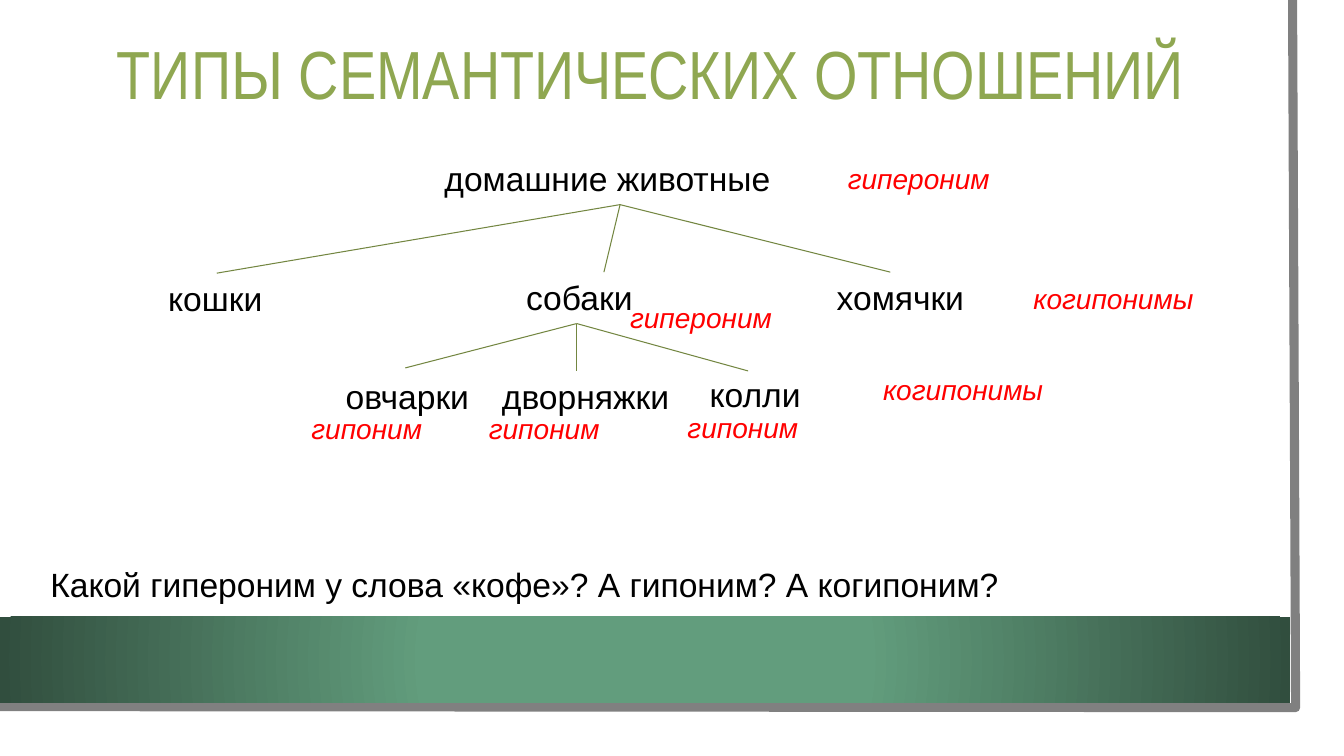
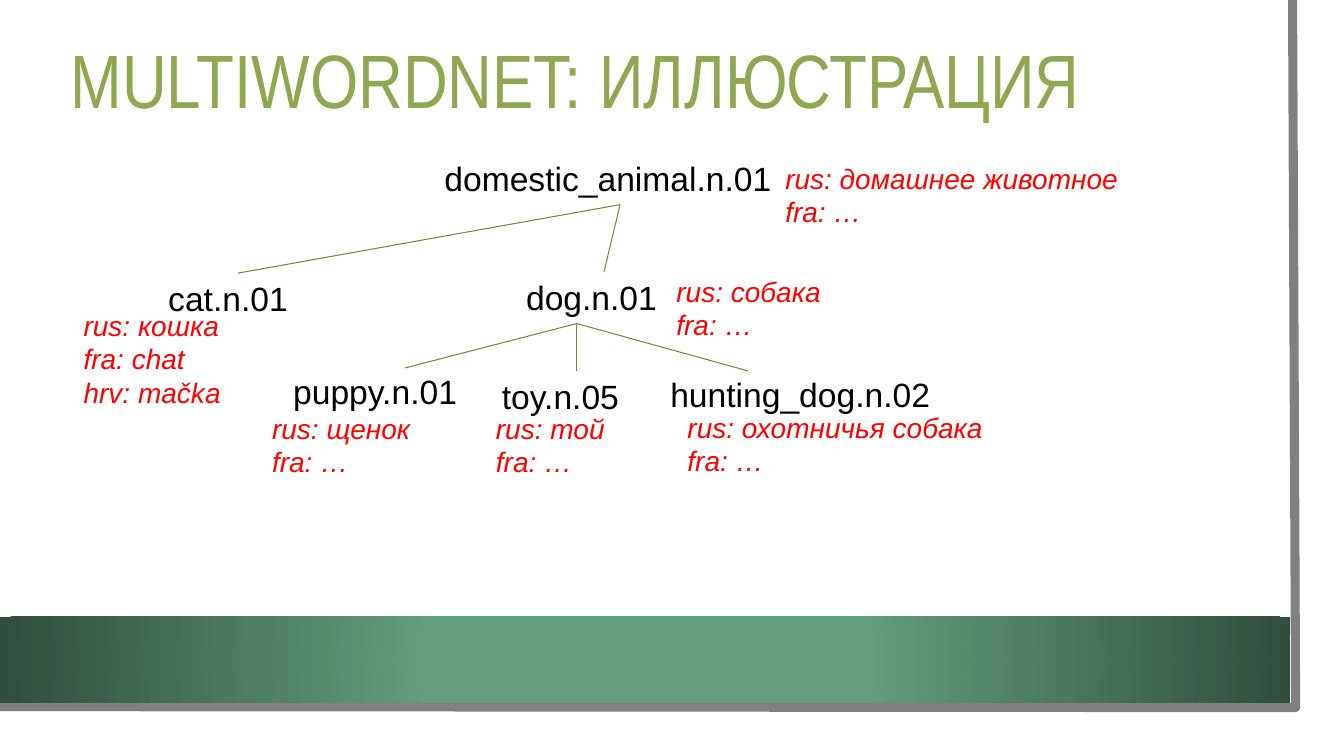
import pptx
import pptx.util
import pptx.dml.color
import pptx.enum.shapes
import pptx.enum.text
import pptx.oxml
import pptx.oxml.ns

Inches = pptx.util.Inches
Pt = pptx.util.Pt
RGBColor = pptx.dml.color.RGBColor

TITLE_GREEN = RGBColor(0x8F, 0xA7, 0x51)
BRANCH_GREEN = RGBColor(0x73, 0x86, 0x41)
BAND_CENTER = RGBColor(0x62, 0x9D, 0x7D)
BAND_EDGE = RGBColor(0x31, 0x4E, 0x3E)
FRAME_GRAY = RGBColor(0x80, 0x80, 0x80)
BLACK = RGBColor(0x00, 0x00, 0x00)
RED = RGBColor(0xFF, 0x00, 0x00)

# Branch starting points shared by both trees
ROOT = (6.15, 2.03)
DOGS = (5.72, 3.21)
SHARED_BRANCHES = [
    (ROOT, (5.99, 2.7)),
    (DOGS, (4.02, 3.65)),
    (DOGS, (5.72, 3.68)),
    (DOGS, (7.42, 3.68)),
]

# Words and notes: left, top, width, lines of text
SLIDES = [
    {
        "title": "ТИПЫ СЕМАНТИЧЕСКИХ ОТНОШЕНИЙ",
        "title_top": 0.14,
        "title_size": 48.6,
        "title_indent": 0.46,
        "words": [
            (4.31, 1.52, 3.68, ["домашние животные"]),
            (1.57, 2.71, 1.17, ["кошки"]),
            (5.12, 2.7, 3.37, ["собаки"]),
            (8.2, 2.7, 3.37, ["хомячки"]),
            (3.33, 3.68, 3.1, ["овчарки"]),
            (4.88, 3.68, 3.1, ["дворняжки"]),
            (6.94, 3.66, 1.34, ["колли"]),
            (0.4, 5.55, 10.51,
             ["Какой гипероним у слова «кофе»? А гипоним? А когипоним?"]),
        ],
        "notes": [
            (8.31, 1.55, 2.39, ["гипероним"]),
            (10.15, 2.74, 2.05, ["когипонимы"]),
            (6.15, 2.93, 1.71, ["гипероним"]),
            (2.99, 4.03, 1.52, ["гипоним"]),
            (4.75, 4.03, 1.69, ["гипоним"]),
            (6.72, 4.02, 1.48, ["гипоним"]),
            (8.66, 3.65, 3.1, ["когипонимы"]),
        ],
        "branches": [(ROOT, (2.15, 2.71)), (ROOT, (8.83, 2.7))],
    },
    {
        "title": "MULTIWORDNET: ИЛЛЮСТРАЦИЯ",
        "title_top": 0.2,
        "title_size": 54,
        "title_indent": 0,
        "words": [
            (4.31, 1.52, 3.68, ["domestic_animal.n.01"]),
            (1.57, 2.71, 1.59, ["cat.n.01"]),
            (5.12, 2.7, 3.37, ["dog.n.01"]),
            (2.81, 3.63, 3.1, ["puppy.n.01"]),
            (4.88, 3.68, 3.1, ["toy.n.05"]),
            (6.55, 3.66, 3.02, ["hunting_dog.n.02"]),
        ],
        "notes": [
            (7.69, 1.55, 3.76, ["rus: домашнее животное", "fra: …"]),
            (0.73, 3.01, 2.05, ["rus: кошка", "fra: chat", "hrv: mačka"]),
            (6.61, 2.67, 1.71, ["rus: собака", "fra: …"]),
            (2.6, 4.03, 1.83, ["rus: щенок", "fra: …"]),
            (4.82, 4.03, 1.69, ["rus: той", "fra: …"]),
            (6.72, 4.02, 3.48, ["rus: охотничья собака", "fra: …"]),
        ],
        "branches": [(ROOT, (2.36, 2.71))],
    },
]


def add_text(slide, left, top, width, height, lines, size, color,
             font="Arial", italic=False):
    shape = slide.shapes.add_textbox(
        Inches(left), Inches(top), Inches(width), Inches(height))
    frame = shape.text_frame
    frame.word_wrap = True
    frame.text = "\n".join(lines)
    for paragraph in frame.paragraphs:
        paragraph.font.name = font
        paragraph.font.size = Pt(size)
        paragraph.font.italic = italic
        paragraph.font.color.rgb = color
    return frame


def add_label(slide, left, top, width, lines, size, color, italic=False):
    height = 0.1 + len(lines) * size / 60
    frame = add_text(slide, left, top, width, height, lines, size, color,
                     italic=italic)
    frame.auto_size = pptx.enum.text.MSO_AUTO_SIZE.SHAPE_TO_FIT_TEXT


def add_title(slide, content):
    frame = add_text(slide, 0.6, content["title_top"], 11.37, 1.26,
                     [content["title"]], content["title_size"], TITLE_GREEN,
                     font="Arial Narrow")
    frame.margin_left = Inches(0.1 + content["title_indent"])
    frame.vertical_anchor = pptx.enum.text.MSO_ANCHOR.MIDDLE
    frame.paragraphs[0].line_spacing = 0.9


def add_branch(slide, start, end):
    branch = slide.shapes.add_connector(
        pptx.enum.shapes.MSO_CONNECTOR.STRAIGHT,
        *(Inches(value) for value in start + end))
    branch.line.color.rgb = BRANCH_GREEN
    branch.line.width = Pt(0.75)
    branch._element.spPr.append(pptx.oxml.parse_xml(
        "<a:effectLst %s/>" % pptx.oxml.ns.nsdecls("a")))


def add_background(slide):
    # Gray edge along the right and bottom
    builder = slide.shapes.build_freeform(Inches(12.82), 0)
    corners = [(12.85, 7.02), (-0.03, 7.01)]
    builder.add_line_segments(
        [(Inches(x), Inches(y)) for x, y in corners], close=False)
    edge = builder.convert_to_shape()
    edge.shadow.inherit = False
    edge.fill.background()
    edge.line.color.rgb = FRAME_GRAY
    edge.line.width = Pt(6.5)

    # Green band with a radial gradient
    band = slide.shapes.add_shape(
        pptx.enum.shapes.MSO_SHAPE.RECTANGLE,
        0, Inches(6.12), Inches(12.8), Inches(0.85))
    band.shadow.inherit = False
    band.line.fill.background()
    band.fill.gradient()
    stops = [(0.34, BAND_CENTER), (1, BAND_EDGE)]
    for stop, (position, color) in zip(band.fill.gradient_stops, stops):
        stop.position = position
        stop.color.rgb = color
    gradient = band._element.spPr.find(pptx.oxml.ns.qn("a:gradFill"))
    linear = gradient.find(pptx.oxml.ns.qn("a:lin"))
    gradient.replace(linear, pptx.oxml.parse_xml(
        '<a:path %s path="circle"><a:fillToRect l="50000" t="50000" '
        'r="50000" b="50000"/></a:path>' % pptx.oxml.ns.nsdecls("a")))


def main():
    presentation = pptx.Presentation()
    presentation.slide_width = Inches(13.33)
    presentation.slide_height = Inches(7.5)
    for content in SLIDES:
        slide = presentation.slides.add_slide(presentation.slide_layouts[6])
        add_background(slide)
        add_title(slide, content)
        for word in content["words"]:
            add_label(slide, *word, size=24, color=BLACK)
        for note in content["notes"]:
            add_label(slide, *note, size=20, color=RED, italic=True)
        for start, end in SHARED_BRANCHES + content["branches"]:
            add_branch(slide, start, end)
    presentation.save("out.pptx")


if __name__ == "__main__":
    main()
